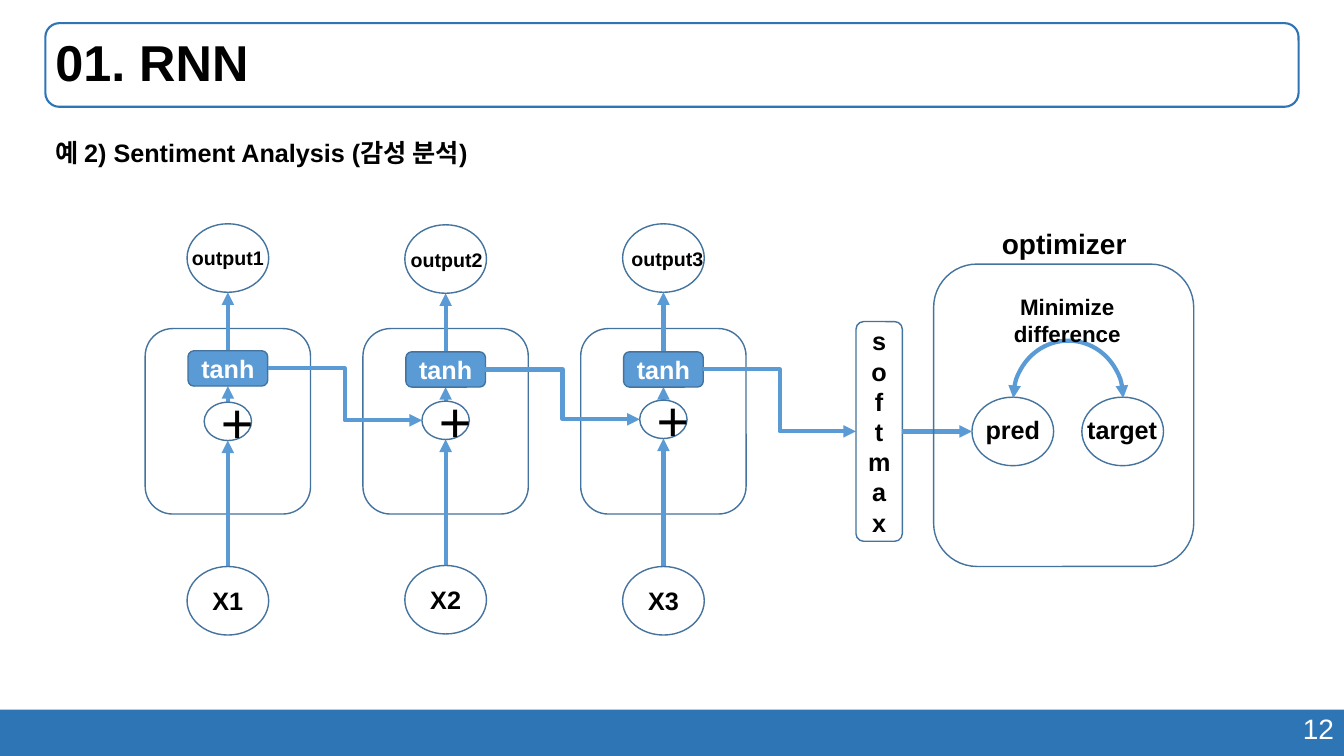
"""Build the RNN sentiment analysis slide."""
import pptx
import pptx.dml.color
import pptx.enum.shapes
import pptx.enum.text
import pptx.oxml.ns
import pptx.util
import lxml.etree

Inches = pptx.util.Inches
Pt = pptx.util.Pt
SHAPE = pptx.enum.shapes.MSO_SHAPE
CONNECTOR = pptx.enum.shapes.MSO_CONNECTOR
ALIGN = pptx.enum.text.PP_ALIGN
ANCHOR = pptx.enum.text.MSO_ANCHOR

FONT = "Arial"
BLACK, WHITE = "000000", "FFFFFF"
BAR, OUTLINE, FLOW = "2E75B6", "43739E", "5B9BD5"

TITLE = "01. RNN"
SUBTITLE = "예 2) Sentiment Analysis (감성 분석)"
PAGE_NUMBER = "12"
STEPS = [
    {"input": "X1", "output": "output1", "input_top": 5.62, "output_top": 2.22,
     "tanh_top": 3.48, "plus_top": 3.99, "label_left": 1.8, "label_top": 2.39},
    {"input": "X2", "output": "output2", "input_top": 5.61, "output_top": 2.23,
     "tanh_top": 3.49, "plus_top": 3.98, "label_left": 3.97, "label_top": 2.41},
    {"input": "X3", "output": "output3", "input_top": 5.62, "output_top": 2.22,
     "tanh_top": 3.49, "plus_top": 3.97, "label_left": 6.16, "label_top": 2.4},
]
FIRST_CENTER, STEP_GAP = 2.26, 2.16
NODE = (0.81, 0.68)
PLUS = (0.47, 0.38)
TANH = (0.79, 0.35)
SOFTMAX_BOX = (8.49, 3.19, 0.46, 2.18)
OPTIMIZER_BOX = (9.26, 2.62, 2.58, 3)
PRED_LEFT, TARGET_LEFT, RESULT_TOP = 9.64, 10.73, 3.94
ARC_BOX = (10.05, 3.38, 1.09, 1.14)
OPTIMIZER_LABELS = [
    ("pred", (9.67, 4.06, 0.75, 0.4), 18),
    ("target", (10.68, 4.06, 0.9, 0.4), 18),
    ("Minimize\ndifference", (9.95, 2.86, 1.27, 0.64), 16),
    ("optimizer", (9.83, 2.2, 1.45, 0.44), 20),
]


def rgb(value):
    return pptx.dml.color.RGBColor.from_string(value)


def write(shape, text, size, color=BLACK, bold=True, align=ALIGN.CENTER):
    shape.text_frame.text = text
    for paragraph in shape.text_frame.paragraphs:
        paragraph.alignment = align
        for run in paragraph.runs:
            run.font.name = FONT
            run.font.size = Pt(size)
            run.font.bold = bold
            run.font.color.rgb = rgb(color)


def add_box(slide, kind, box, fill=None, line=OUTLINE, width=1):
    shape = slide.shapes.add_shape(kind, *map(Inches, box))
    shape.shadow.inherit = False
    if fill:
        shape.fill.solid()
        shape.fill.fore_color.rgb = rgb(fill)
    else:
        shape.fill.background()
    if line:
        shape.line.color.rgb = rgb(line)
        shape.line.width = Pt(width)
    else:
        shape.line.fill.background()
    return shape


def add_label(slide, text, box, size, wrap=False, **style):
    label = slide.shapes.add_textbox(*map(Inches, box))
    label.text_frame.word_wrap = wrap
    write(label, text, size, **style)
    return label


def add_arrowheads(shape, *ends):
    line = shape.line._get_or_add_ln()
    for end in ends:
        lxml.etree.SubElement(line, pptx.oxml.ns.qn("a:" + end), type="triangle")


def add_arrow(slide, start, end, kind=CONNECTOR.STRAIGHT):
    arrow = slide.shapes.add_connector(kind, *map(Inches, start + end))
    arrow.line.color.rgb = rgb(FLOW)
    arrow.line.width = Pt(3)
    add_arrowheads(arrow, "tailEnd")
    lxml.etree.SubElement(arrow._element.spPr, pptx.oxml.ns.qn("a:effectLst"))


def add_frame(slide):
    add_box(slide, SHAPE.RECTANGLE, (0, 7.04, 13.33, 0.46), fill=BAR, line=None)
    add_label(slide, PAGE_NUMBER, (9.43, 7.01, 3.9, 0.44), 20, wrap=True,
              color=WHITE, bold=False, align=ALIGN.RIGHT)
    title_box = (0.45, 0.23, 12.43, 0.83)
    add_box(slide, SHAPE.ROUNDED_RECTANGLE, title_box, line=BAR, width=1.5)
    title = add_label(slide, TITLE, title_box, 36, wrap=True, align=ALIGN.LEFT)
    title.text_frame.vertical_anchor = ANCHOR.MIDDLE
    title.text_frame.paragraphs[0].line_spacing = 0.9
    add_label(slide, SUBTITLE, (0.45, 1.31, 4.46, 0.4), 18, wrap=True, align=ALIGN.LEFT)


def add_step(slide, step, center):
    def centered(top, size):
        return (center - size[0] / 2, top, *size)

    add_box(slide, SHAPE.ROUNDED_RECTANGLE, centered(3.26, (1.64, 1.84)))
    add_arrow(slide, (center, step["input_top"]), (center, step["plus_top"] + PLUS[1]))
    add_arrow(slide, (center, step["plus_top"]), (center, step["tanh_top"] + TANH[1]))
    add_arrow(slide, (center, step["tanh_top"]), (center, step["output_top"] + NODE[1]))
    input_node = add_box(slide, SHAPE.OVAL, centered(step["input_top"], NODE))
    write(input_node, step["input"], 18)
    add_box(slide, SHAPE.OVAL, centered(step["output_top"], NODE))
    add_label(slide, step["output"], (step["label_left"], step["label_top"], 0.92, 0.34), 14)
    plus = add_box(slide, SHAPE.OVAL, centered(step["plus_top"], PLUS))
    write(plus, "+", 40, bold=False)
    tanh = add_box(slide, SHAPE.ROUNDED_RECTANGLE, centered(step["tanh_top"], TANH), fill=FLOW)
    write(tanh, "tanh", 18, color=WHITE)


def add_optimizer(slide, flow_y):
    softmax = add_box(slide, SHAPE.ROUNDED_RECTANGLE, SOFTMAX_BOX)
    write(softmax, "so\nf\ntmax", 18)
    for left in (PRED_LEFT, TARGET_LEFT):
        add_box(slide, SHAPE.OVAL, (left, RESULT_TOP, *NODE))
    add_arrow(slide, (SOFTMAX_BOX[0] + SOFTMAX_BOX[2], flow_y), (PRED_LEFT, flow_y))
    arc = add_box(slide, SHAPE.ARC, ARC_BOX, line=FLOW, width=3)
    arc.adjustments[0] = 108
    arc.adjustments[1] = 0
    add_arrowheads(arc, "headEnd", "tailEnd")
    add_box(slide, SHAPE.ROUNDED_RECTANGLE, OPTIMIZER_BOX)
    for text, box, size in OPTIMIZER_LABELS:
        add_label(slide, text, box, size)


def main():
    presentation = pptx.Presentation()
    presentation.slide_width = Inches(13.33)
    presentation.slide_height = Inches(7.5)
    slide = presentation.slides.add_slide(presentation.slide_layouts[6])
    add_frame(slide)
    centers = [FIRST_CENTER + STEP_GAP * index for index in range(len(STEPS))]
    for step, center in zip(STEPS, centers):
        add_step(slide, step, center)
    flow_y = SOFTMAX_BOX[1] + SOFTMAX_BOX[3] / 2
    targets = [(center - PLUS[0] / 2, step["plus_top"] + PLUS[1] / 2)
               for step, center in zip(STEPS[1:], centers[1:])]
    targets.append((SOFTMAX_BOX[0], flow_y))
    for step, center, target in zip(STEPS, centers, targets):
        start = (center + TANH[0] / 2, step["tanh_top"] + TANH[1] / 2)
        add_arrow(slide, start, target, CONNECTOR.ELBOW)
    add_optimizer(slide, flow_y)
    presentation.save("out.pptx")


if __name__ == "__main__":
    main()
